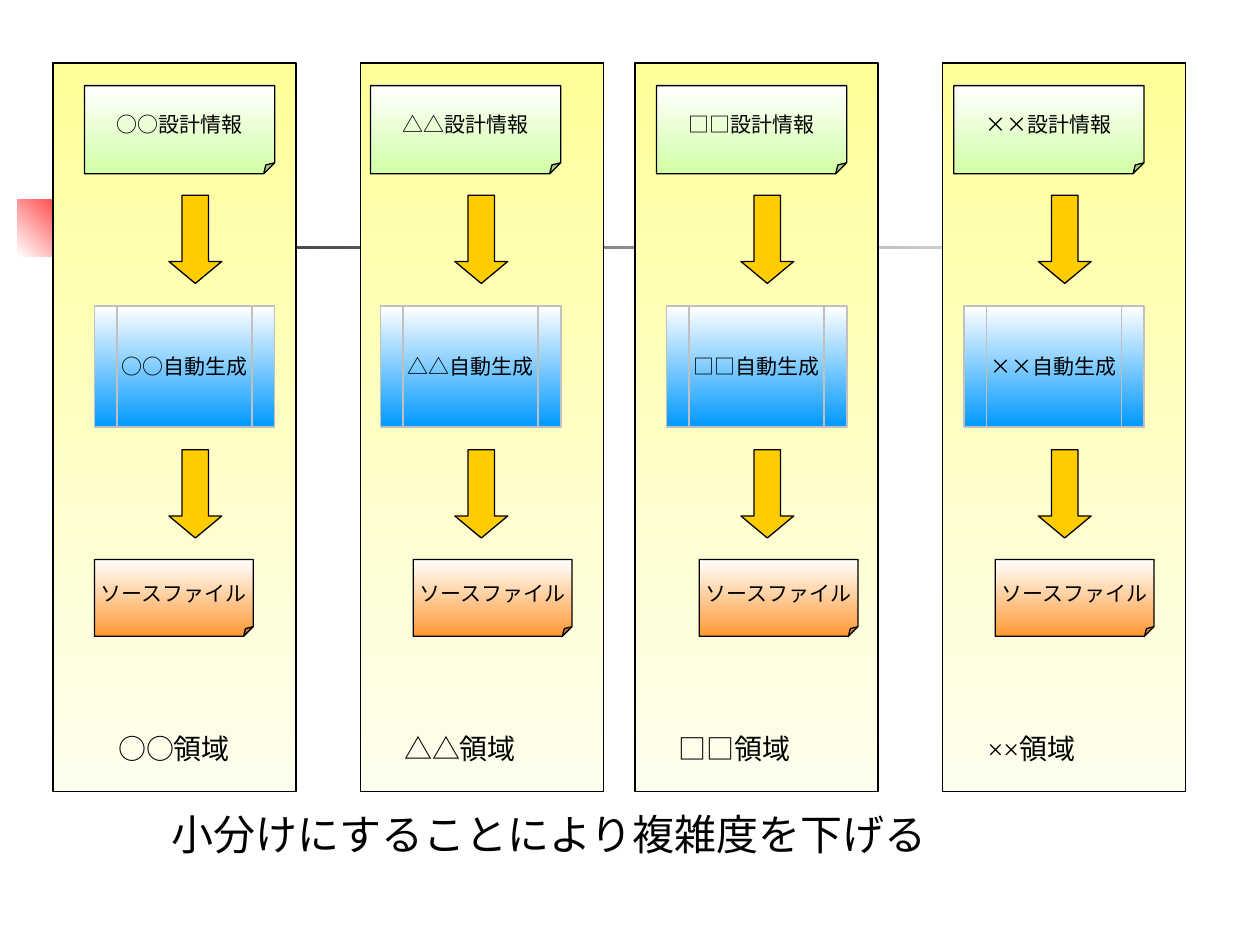
"""Build a slide that splits code generation into four separate domains."""
from collections import namedtuple

from lxml.etree import SubElement
from pptx import Presentation
from pptx.dml.color import RGBColor
from pptx.enum.lang import MSO_LANGUAGE_ID as Language
from pptx.enum.shapes import MSO_SHAPE as Shape
from pptx.enum.text import MSO_ANCHOR as Anchor, MSO_AUTO_SIZE as AutoSize, PP_ALIGN as Align
from pptx.oxml.ns import qn
from pptx.util import Inches, Pt

BLACK = RGBColor(0x00, 0x00, 0x00)
WHITE = RGBColor(0xFF, 0xFF, 0xFF)
SILVER = RGBColor(0xC0, 0xC0, 0xC0)
CHARCOAL = RGBColor(0x1C, 0x1C, 0x1C)
RED = RGBColor(0xFF, 0x00, 0x00)
YELLOW = RGBColor(0xFF, 0xFF, 0x99)
CREAM = RGBColor(0xFE, 0xFE, 0xEE)
GREEN = RGBColor(0xD2, 0xFF, 0xA5)
BLUE = RGBColor(0x00, 0x99, 0xFF)
ORANGE = RGBColor(0xFF, 0x99, 0x33)
GOLD = RGBColor(0xFF, 0xCC, 0x00)

SANS = "Noto Sans CJK JP"
SERIF = "Times New Roman"

CAPTION = "小分けにすることにより複雑度を下げる"
Domain = namedtuple("Domain", "symbol band_left flow_left source_left label_left")
DOMAINS = [
    Domain("○○", 0.42, 0.67, 0.75, 0.84),
    Domain("△△", 2.86, 2.94, 3.28, 3.11),
    Domain("□□", 5.04, 5.21, 5.55, 5.29),
    Domain("××", 7.48, 7.57, 7.9, 7.74),
]
BAND_TOP, BAND_WIDTH, BAND_HEIGHT = 0.5, 1.93, 5.78
PROCESS_INDENT, ARROW_INDENT = 0.08, 0.67
ARROW_TOPS = (1.55, 3.57)


def write_text(shape, text, size=12, font=SANS, align=Align.LEFT,
               anchor=Anchor.TOP, wrap=True, auto_size=AutoSize.NONE):
    frame = shape.text_frame
    frame.word_wrap = wrap
    frame.auto_size = auto_size
    frame.vertical_anchor = anchor
    paragraph = frame.paragraphs[0]
    paragraph.alignment = align
    run = paragraph.add_run()
    run.text = text
    run.font.size = Pt(size)
    run.font.name = font
    run.font.color.rgb = BLACK
    run.font.language_id = Language.JAPANESE
    SubElement(run.font._element, qn("a:ea")).set("typeface", SANS)


def set_adjustments(shape, **values):
    guides = shape._element.spPr.find(qn("a:prstGeom")).find(qn("a:avLst"))
    for guide in list(guides):
        guides.remove(guide)
    for name, value in values.items():
        guide = SubElement(guides, qn("a:gd"))
        guide.set("name", name)
        guide.set("fmla", f"val {value}")


def add_box(slide, kind, left, top, width, height, colors, angle=90,
            line=BLACK, line_width=0.75, text=None):
    shape = slide.shapes.add_shape(
        kind, Inches(left), Inches(top), Inches(width), Inches(height))
    shape.shadow.inherit = False
    if len(colors) == 1:
        shape.fill.solid()
        shape.fill.fore_color.rgb = colors[0]
    else:
        shape.fill.gradient()
        shape.fill.gradient_angle = -angle % 360
        for stop, position, color in zip(shape.fill.gradient_stops, (0, 1), colors):
            stop.position = position
            stop.color.rgb = color
    if line is None:
        shape.line.fill.background()
    else:
        shape.line.color.rgb = line
        shape.line.width = Pt(line_width)
    if text:
        write_text(shape, text, align=Align.CENTER, anchor=Anchor.MIDDLE, wrap=False)
    return shape


def add_label(slide, text, left, top, width, height, size):
    box = slide.shapes.add_textbox(
        Inches(left), Inches(top), Inches(width), Inches(height))
    write_text(box, text, size=size, font=SERIF, auto_size=AutoSize.SHAPE_TO_FIT_TEXT)


def add_flow(slide, symbol, flow_left, source_left):
    add_box(slide, Shape.FLOWCHART_PREDEFINED_PROCESS, flow_left + PROCESS_INDENT,
            2.43, 1.43, 0.96, (WHITE, BLUE), line=SILVER, line_width=1,
            text=symbol + "自動生成")
    documents = [
        (source_left, 4.44, 1.26, 0.61, ORANGE, "ソースファイル"),
        (flow_left, 0.68, 1.51, 0.7, GREEN, symbol + "設計情報"),
    ]
    for left, top, width, height, color, text in documents:
        document = add_box(slide, Shape.FOLDED_CORNER, left, top, width, height,
                           (WHITE, color), text=text)
        set_adjustments(document, adj=12500)
    for top in ARROW_TOPS:
        arrow = add_box(slide, Shape.DOWN_ARROW, flow_left + ARROW_INDENT, top,
                        0.42, 0.7, (GOLD,))
        set_adjustments(arrow, adj1=50000, adj2=41600)


def main():
    presentation = Presentation()
    presentation.slide_width, presentation.slide_height = Inches(10), Inches(7.5)
    slide = presentation.slides.add_slide(presentation.slide_layouts[6])

    add_box(slide, Shape.RECTANGLE, 0.14, 1.58, 0.61, 0.46, (RED, WHITE),
            angle=135, line=None)
    add_box(slide, Shape.RECTANGLE, 0.48, 1.95, 9, 0.03, (WHITE, CHARCOAL),
            angle=180, line=None)
    for domain in DOMAINS:
        add_box(slide, Shape.RECTANGLE, domain.band_left, BAND_TOP, BAND_WIDTH,
                BAND_HEIGHT, (YELLOW, CREAM))
    for domain in DOMAINS:
        add_flow(slide, domain.symbol, domain.flow_left, domain.source_left)
        add_label(slide, domain.symbol + "領域", domain.label_left, 5.76, 1.6, 0.37, size=16)
    add_label(slide, CAPTION, 1.26, 6.37, 7.41, 0.5, size=24)

    presentation.save("out.pptx")


if __name__ == "__main__":
    main()
